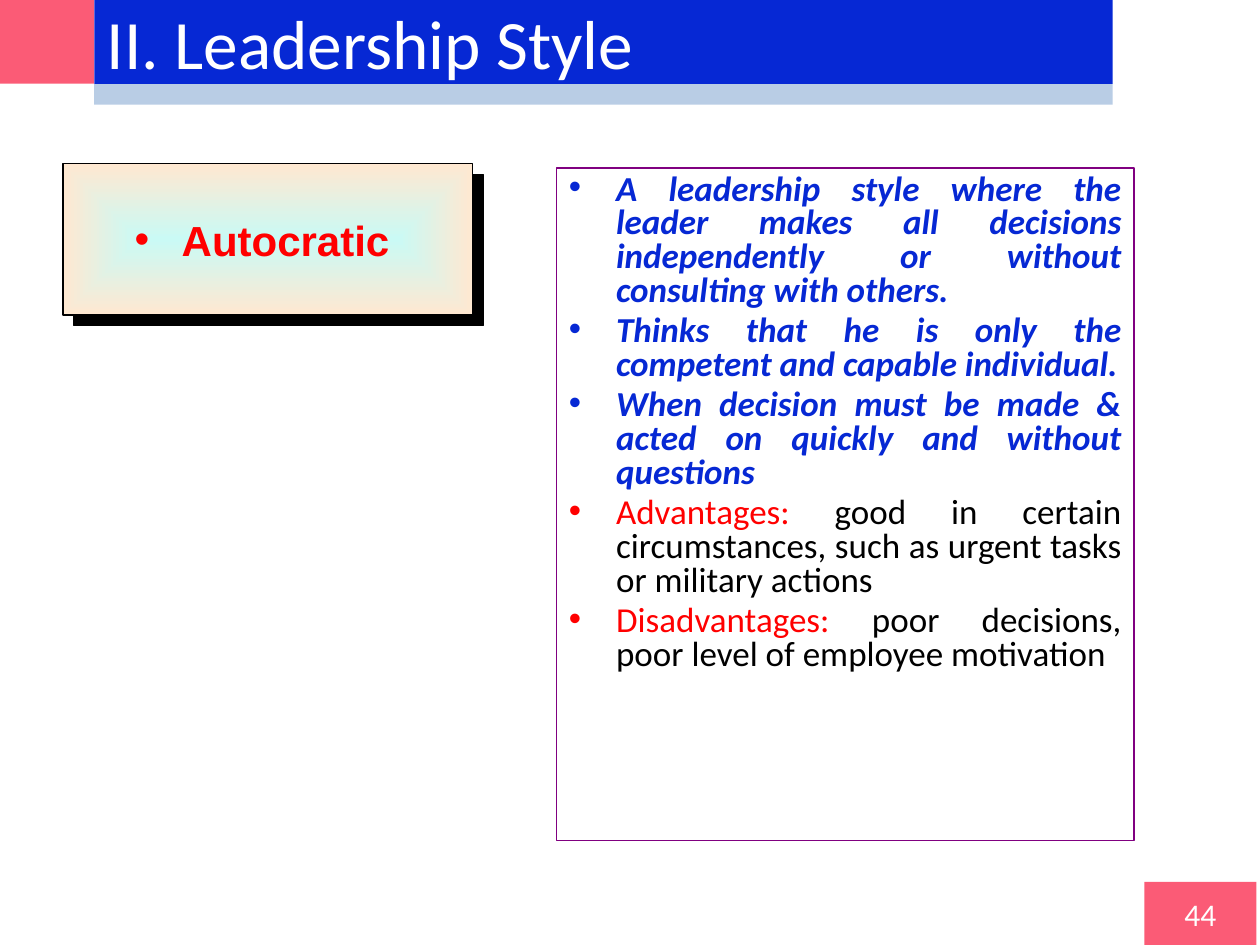
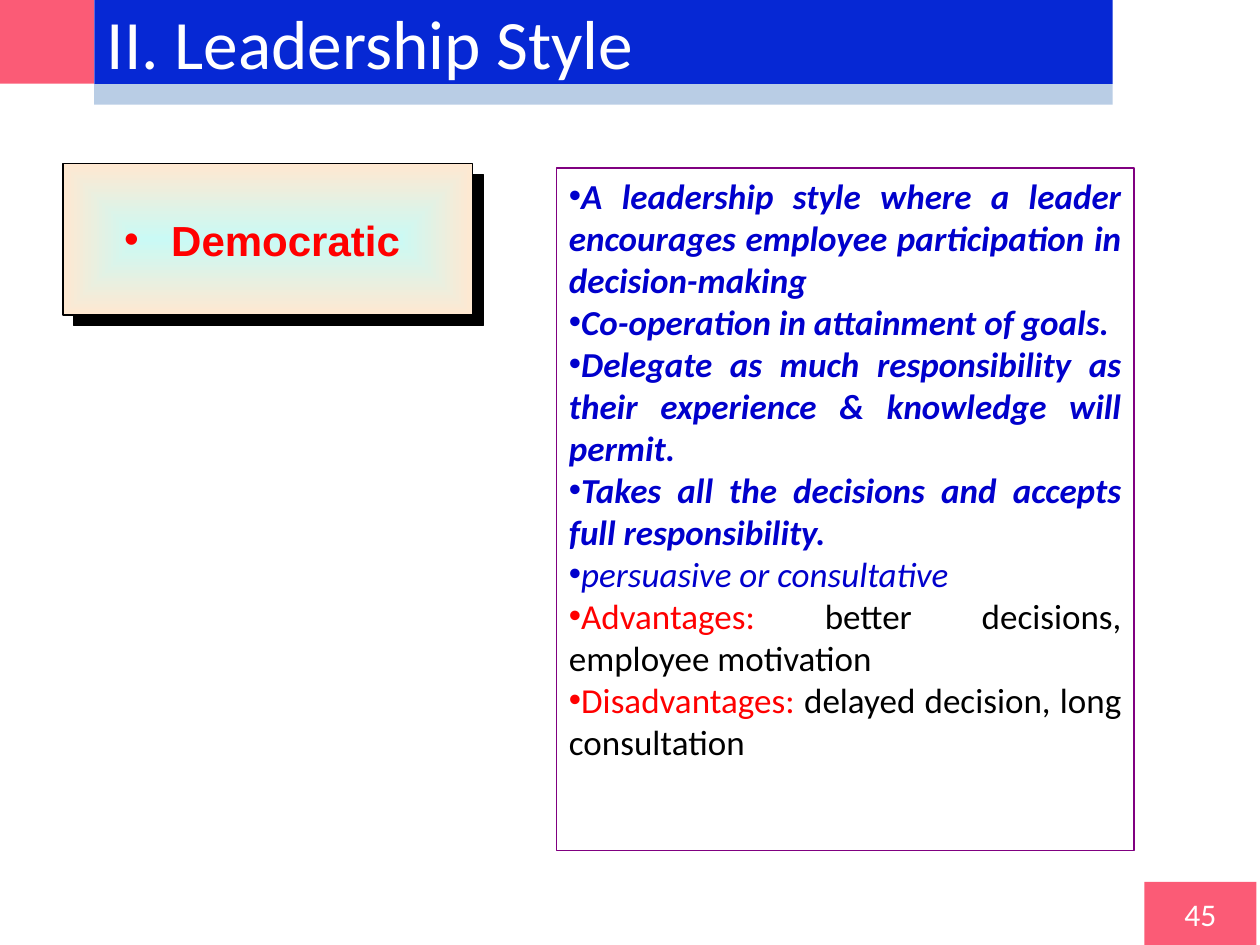
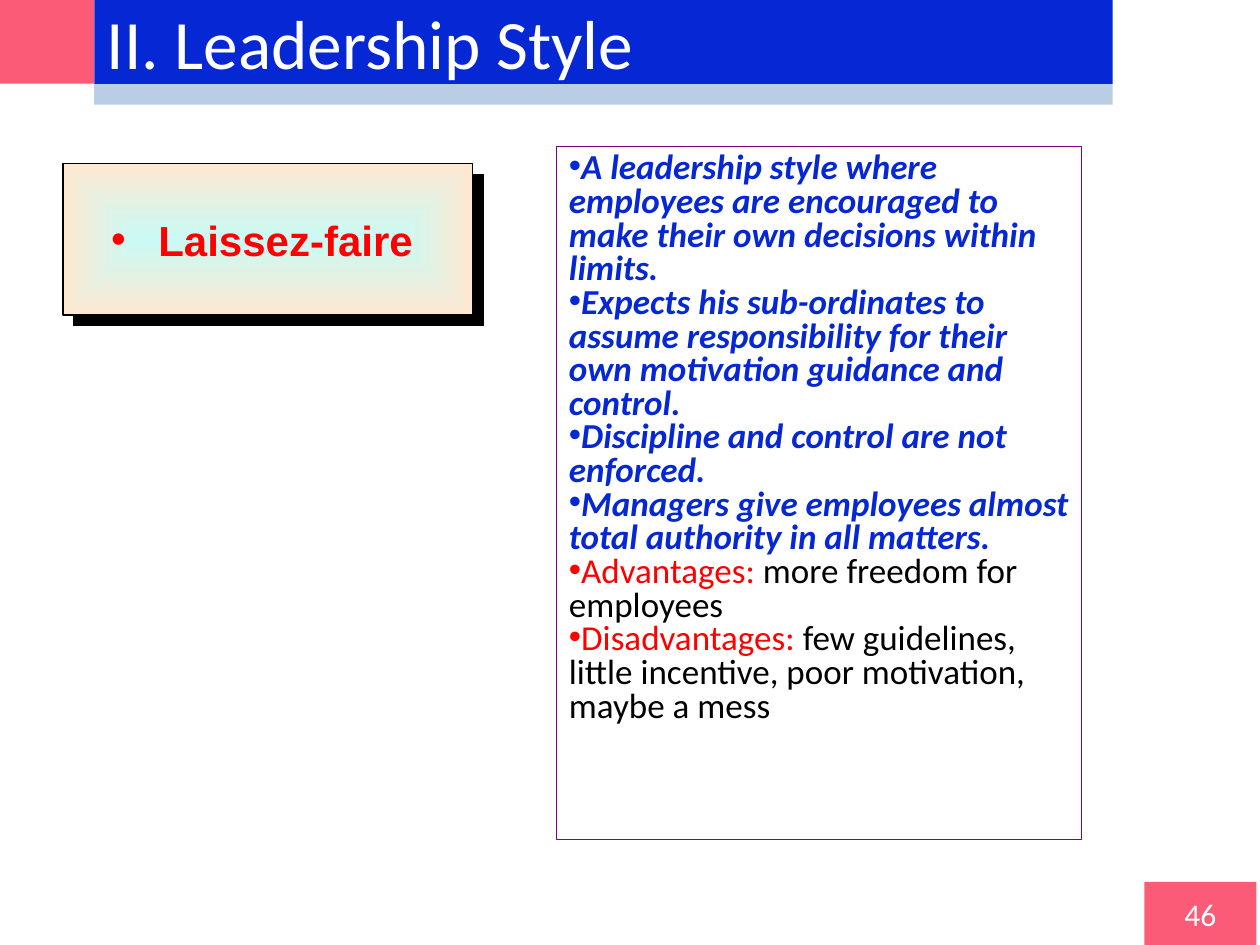
from pptx import Presentation
from pptx.dml.color import RGBColor
from pptx.enum.shapes import MSO_SHAPE
from pptx.enum.text import MSO_ANCHOR, MSO_AUTO_SIZE, PP_ALIGN
from pptx.oxml import parse_xml
from pptx.oxml.ns import nsdecls, qn
from pptx.util import Cm, Pt

BLUE, PINK, PALE_BLUE = "0628D4", "FB5B76", "B9CDE5"
NAVY, PURPLE, RED, BLACK, WHITE = "0000CC", "800080", "FF0000", "000000", "FFFFFF"
BAND_LEFT, BAND_WIDTH, BAND_HEIGHT = Cm(1.9), Cm(20.53), Cm(1.69)
HANGING = Cm(0.95)
FIRST_NUMBER = 44

GRADIENT = f"""<a:gradFill {nsdecls('a')} rotWithShape="1"><a:gsLst>
<a:gs pos="0"><a:srgbClr val="CAFAF5"/></a:gs>
<a:gs pos="100000"><a:srgbClr val="FFE8D1"/></a:gs></a:gsLst>
<a:path path="shape"><a:fillToRect l="50000" t="50000" r="50000" b="50000"/></a:path>
</a:gradFill>"""
SHADOW = f"""<a:outerShdw {nsdecls('a')} dist="{Pt(8.5)}" dir="2700000" algn="ctr" rotWithShape="0">
<a:srgbClr val="{BLACK}"/></a:outerShdw>"""

STYLES = [
    {
        "name": "Autocratic ",
        "place": (11.22, 3.39, 11.64, 13.55),
        "colour": BLUE, "align": PP_ALIGN.JUSTIFY, "spacing": 0.8, "indent": HANGING, "gap": Pt(4),
        "traits": [
            "A leadership style where the leader makes all decisions independently or without "
            "consulting with others.",
            "Thinks that he is only the competent and capable individual.",
            "When decision must be made & acted on quickly and without questions",
        ],
        "variants": [],
        "advantages": "good in certain circumstances, such as urgent tasks or military actions",
        "disadvantages": "poor decisions, poor level of employee motivation",
    },
    {
        "name": "Democratic ",
        "place": (11.22, 3.39, 11.64, 13.76),
        "colour": NAVY, "align": PP_ALIGN.JUSTIFY, "spacing": 1.0, "indent": 0, "gap": 0,
        "traits": [
            "A leadership style where a leader encourages employee participation in decision-making",
            "Co-operation in attainment of goals.",
            "Delegate as much responsibility as their experience & knowledge will permit.",
            "Takes all the decisions and accepts full responsibility.",
        ],
        "variants": ["persuasive or consultative"],
        "advantages": "better decisions, employee motivation",
        "disadvantages": "delayed decision, long consultation",
    },
    {
        "name": "Laissez-faire ",
        "place": (11.22, 2.96, 10.58, 13.97),
        "colour": BLUE, "align": PP_ALIGN.LEFT, "spacing": 0.8, "indent": 0, "gap": 0,
        "traits": [
            "A leadership style where employees are encouraged to make their own decisions within limits.",
            "Expects his sub-ordinates to assume responsibility for their own motivation guidance "
            "and control.",
            "Discipline and control are not enforced.",
            "Managers give employees almost total authority in all matters.",
        ],
        "variants": [],
        "advantages": "more freedom for employees",
        "disadvantages": "few guidelines, little incentive, poor motivation, maybe a mess",
    },
]


def rgb(value):
    return RGBColor.from_string(value)


def write_bullet(paragraph, runs, size, font, indent=0):
    """Fill a bulleted paragraph with (text, colour, bold, italic) runs."""
    props = paragraph._p.get_or_add_pPr()
    props.set("marL", str(indent))
    props.set("indent", str(-indent))
    props.append(parse_xml(f'<a:buFont {nsdecls("a")} typeface="Arial"/>'))
    props.append(parse_xml(f'<a:buChar {nsdecls("a")} char="•"/>'))
    for text, colour, bold, italic in runs:
        run = paragraph.add_run()
        run.text = text
        run.font.size, run.font.name = Pt(size), font
        run.font.bold, run.font.italic = bold, italic
        run.font.color.rgb = rgb(colour)


deck = Presentation()
deck.slide_width, deck.slide_height = Cm(25.4), Cm(19.05)
layout = deck.slide_layouts[5]

for number, style in enumerate(STYLES, FIRST_NUMBER):
    slide = deck.slides.add_slide(layout)
    shapes = slide.shapes

    # The bands are drawn once and moved to the shared layout
    if number == FIRST_NUMBER:
        for place, colour in [
            ((0, 0, BAND_LEFT, BAND_HEIGHT), PINK),
            ((BAND_LEFT, BAND_HEIGHT, BAND_WIDTH, Cm(0.42)), PALE_BLUE),
        ]:
            band = shapes.add_shape(MSO_SHAPE.RECTANGLE, *place)
            band.shadow.inherit = False
            band.fill.solid()
            band.fill.fore_color.rgb = rgb(colour)
            band.line.fill.background()
            layout.shapes.element.append(band.element)

    title = shapes.title
    title.left, title.top, title.width, title.height = BAND_LEFT, 0, BAND_WIDTH, BAND_HEIGHT
    title.fill.solid()
    title.fill.fore_color.rgb = rgb(BLUE)
    title.text_frame.text = "II. Leadership Style"
    title.text_frame.auto_size = MSO_AUTO_SIZE.NONE
    title.text_frame.vertical_anchor = MSO_ANCHOR.MIDDLE
    heading = title.text_frame.paragraphs[0]
    heading.alignment = PP_ALIGN.LEFT
    heading.font.size, heading.font.name = Pt(39.6), "Calibri"
    heading.font.color.rgb = rgb(WHITE)

    page = shapes.add_shape(MSO_SHAPE.RECTANGLE, Cm(23.07), Cm(17.78), Cm(2.26), Cm(1.27))
    page.shadow.inherit = False
    page.fill.solid()
    page.fill.fore_color.rgb = rgb(PINK)
    page.line.fill.background()
    page.text_frame.text = str(number)
    page.text_frame.vertical_anchor = MSO_ANCHOR.MIDDLE
    page_text = page.text_frame.paragraphs[0]
    page_text.alignment = PP_ALIGN.CENTER
    page_text.font.size, page_text.font.name = Pt(18), "Calibri"
    page_text.font.color.rgb = rgb(WHITE)

    style_name = shapes.add_shape(MSO_SHAPE.RECTANGLE, Cm(1.27), Cm(3.3), Cm(8.26), Cm(3.05))
    style_name.line.color.rgb = rgb(BLACK)
    style_name.line.width = Pt(0.75)
    style_name.shadow.inherit = False
    properties = style_name.element.spPr
    properties.find(qn("a:prstGeom")).addnext(parse_xml(GRADIENT))
    properties.find(qn("a:effectLst")).append(parse_xml(SHADOW))
    style_name.text_frame.word_wrap = False
    style_name.text_frame.vertical_anchor = MSO_ANCHOR.MIDDLE
    name_text = style_name.text_frame.paragraphs[0]
    name_text.alignment = PP_ALIGN.CENTER
    write_bullet(name_text, [(style["name"], RED, True, False)], 24, "Arial", HANGING)

    description = shapes.add_textbox(*map(Cm, style["place"]))
    description.line.color.rgb = rgb(PURPLE)
    description.line.width = Pt(0.75)
    frame = description.text_frame
    frame.word_wrap = True
    points = [[(trait, style["colour"], True, True)] for trait in style["traits"]]
    points += [[(variant, style["colour"], False, True)] for variant in style["variants"]]
    for side in ("advantages", "disadvantages"):
        points.append([(f"{side.capitalize()}: ", RED, False, False),
                       (style[side], BLACK, False, False)])
    for index, runs in enumerate(points):
        paragraph = frame.add_paragraph() if index else frame.paragraphs[0]
        paragraph.alignment = style["align"]
        paragraph.line_spacing = style["spacing"]
        paragraph.space_before = style["gap"] if index else 0
        write_bullet(paragraph, runs, 20, "Calibri", style["indent"])

deck.save("out.pptx")
